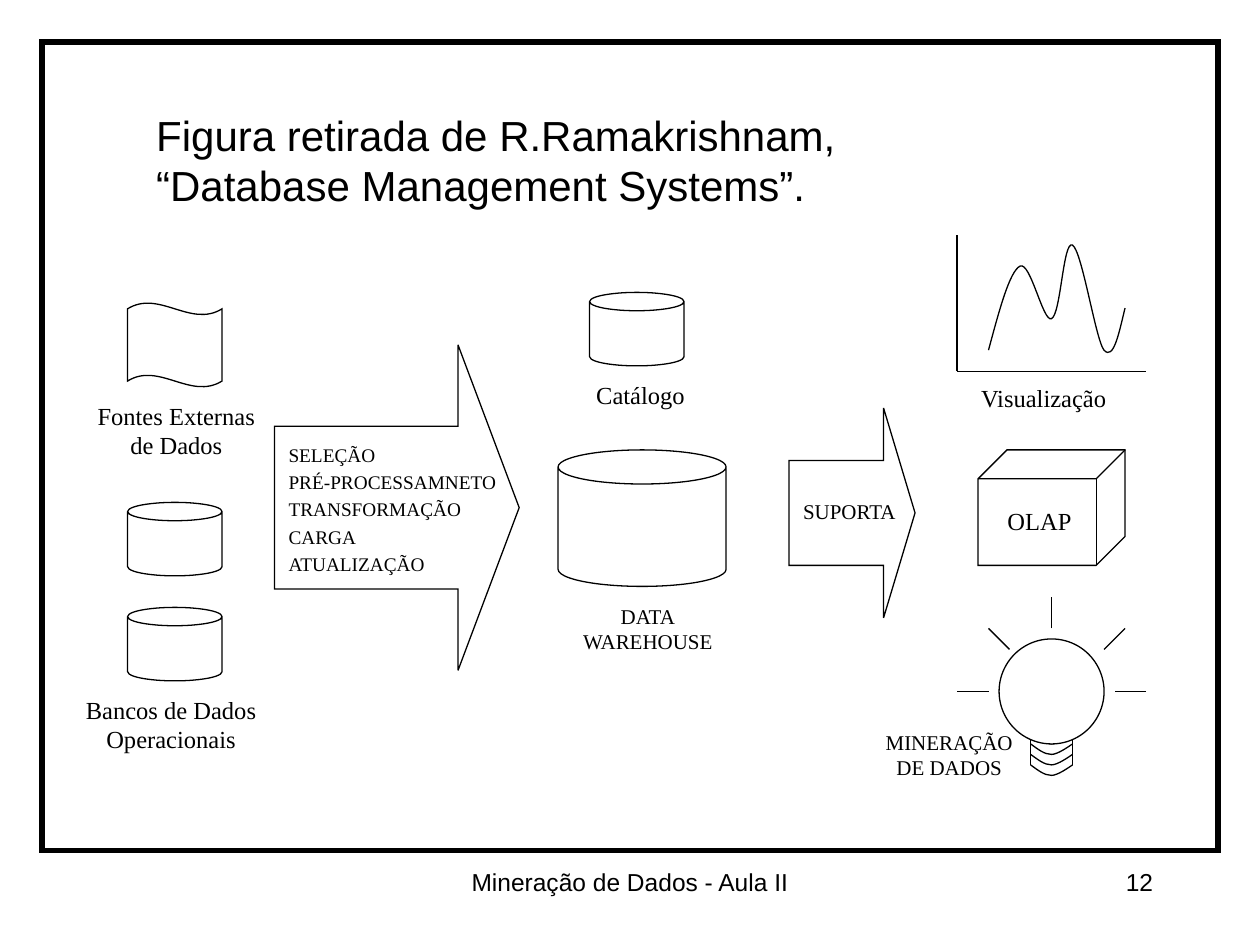
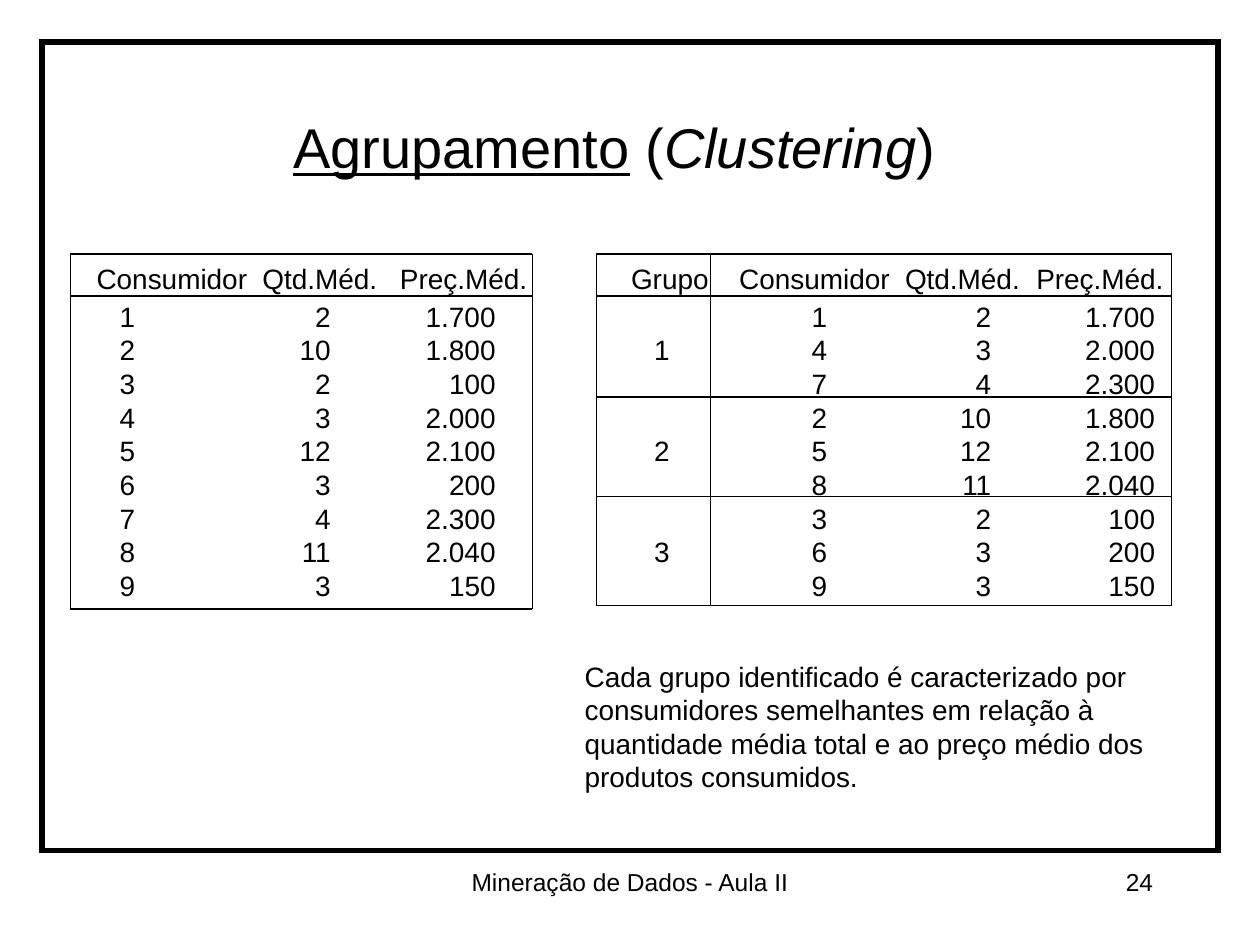
import pptx
import pptx.dml.color
import pptx.enum.shapes
import pptx.enum.text
import pptx.oxml.ns
import pptx.util
from lxml import etree

BLACK = pptx.dml.color.RGBColor(0, 0, 0)
WHITE = pptx.dml.color.RGBColor(255, 255, 255)
SANS, SERIF = "Arial", "Times New Roman"
KIND = pptx.enum.shapes.MSO_SHAPE
ALIGN = pptx.enum.text.PP_ALIGN
ANCHOR = pptx.enum.text.MSO_ANCHOR
COLS, ROWS = 120, 90
SHIFT = 0.15
THIN, THICK = 0.75, 3
TOP, HEAD, ROW = 24.2, 4.45, 3.2
BARE = "{2D5ABB26-0587-4C30-8999-92F81FD0307C}"

BUYERS = {
    "1": ("2", "1.700"), "2": ("10", "1.800"), "3": ("2", "100"),
    "4": ("3", "2.000"), "5": ("12", "2.100"), "6": ("3", "200"),
    "7": ("4", "2.300"), "8": ("11", "2.040"), "9": ("3", "150"),
}
GROUPS = {"1": "147", "2": "258", "3": "369"}


def tag(name):
    """Give the full name of a drawing element."""
    return pptx.oxml.ns.qn("a:" + name)


def cells(count):
    """Turn a count of grid cells, twelve to the inch, into a length."""
    return pptx.util.Inches(count / 12)


def spot(col, row):
    """Give the place of a grid point of the figure."""
    return cells(col + SHIFT), cells(row - SHIFT)


def ink(shape, weight=THIN, fill=None):
    """Outline a shape in black with sharp corners, hollow unless filled."""
    shape.shadow.inherit = False
    shape.line.color.rgb = BLACK
    shape.line.width = pptx.util.Pt(weight)
    etree.SubElement(shape.element.spPr.find(tag("ln")), tag("miter")).set("lim", "800000")
    if fill is None:
        shape.fill.background()
    else:
        shape.fill.solid()
        shape.fill.fore_color.rgb = fill


def solid(slide, kind, col, row, wide, high, adjust=(), fill=None):
    """Draw a preset shape of the figure."""
    shape = slide.shapes.add_shape(kind, *spot(col, row), cells(wide), cells(high))
    for index, value in enumerate(adjust):
        shape.adjustments[index] = value
    ink(shape, fill=fill)


def stroke(slide, start, end):
    """Draw a thin straight line between two places."""
    straight = pptx.enum.shapes.MSO_CONNECTOR.STRAIGHT
    line = slide.shapes.add_connector(straight, *start, *end)
    line.line.color.rgb = BLACK
    line.line.width = pptx.util.Pt(THIN)
    etree.SubElement(line.element.spPr, tag("effectLst"))


def curve(slide, points):
    """Draw an open outline along chained cubic curves."""
    first, *rest = (spot(*point) for point in points)
    pen = slide.shapes.build_freeform(*first)
    pen.add_line_segments(rest, close=False)
    shape = pen.convert_to_shape()
    track = next(shape.element.iter(tag("path")))
    lines = track.findall(tag("lnTo"))
    for index in range(0, len(lines), 3):
        bend = etree.SubElement(track, tag("cubicBezTo"))
        for line in lines[index:index + 3]:
            bend.append(line[0])
            track.remove(line)
    ink(shape)


def write(para, words, size, face, under=None, slant=None):
    """Add one run to a paragraph."""
    run = para.add_run()
    run.text = words
    font = run.font
    font.size, font.name = pptx.util.Pt(size), face
    font.underline, font.italic = under, slant
    font.color.rgb = BLACK


def text(slide, box, lines, size, face=SANS, align=ALIGN.LEFT, wrap=True, gap=0):
    """Add a text box; each line is a list of runs given as words and style."""
    frame = slide.shapes.add_textbox(*map(cells, box)).text_frame
    frame.word_wrap = wrap
    for index, runs in enumerate(lines):
        para = frame.add_paragraph() if index else frame.paragraphs[0]
        para.alignment = align
        if index and gap:
            para.space_before = pptx.util.Pt(gap)
        for words, style in runs:
            write(para, words, size, face, **style)


def plain(*lines):
    """Make lines of one unstyled run each."""
    return [[(line, {})] for line in lines]


def label(slide, mid, top, wide, size, *lines):
    """Centre a caption of the figure on a column."""
    high = (len(lines) * size * 1.2 + 7.2) / 6
    text(slide, (mid - wide / 2, top, wide, high), plain(*lines), size, SERIF,
         ALIGN.CENTER, wrap=False)


def page(deck, number):
    """Add a blank slide with the shared frame and footer."""
    slide = deck.slides.add_slide(deck.slide_layouts[6])
    frame = slide.shapes.add_shape(KIND.RECTANGLE, *map(cells, (4, 4, 112, 77)))
    ink(frame, THICK)
    text(slide, (41, 82, 38, 6), plain("Mineração de Dados - Aula II"), 14,
         align=ALIGN.CENTER)
    text(slide, (86, 82, 25, 6), plain(str(number)), 14, align=ALIGN.RIGHT)
    return slide


def rules(slide, across, down):
    """Rule lines at the given columns and rows, each the full span."""
    for row in down:
        stroke(slide, (cells(across[0]), cells(row)), (cells(across[-1]), cells(row)))
    for col in across:
        stroke(slide, (cells(col), cells(down[0])), (cells(col), cells(down[-1])))


def fill(cell, words, inset, align, anchor, below=0):
    """Put words in a cell, set in from the side they align to."""
    right = align == ALIGN.RIGHT
    cell.margin_left = cells(0 if right else inset)
    cell.margin_right = cells(inset if right else 0)
    cell.margin_top, cell.margin_bottom = 0, cells(below)
    cell.vertical_anchor = anchor
    cell.fill.background()
    if words:
        para = cell.text_frame.paragraphs[0]
        para.alignment = align
        write(para, words, 16, SANS)


def grid(slide, left, plan, rows, merge=0):
    """Add a table; plan gives head, width, head inset, value inset and align."""
    wide = sum(item[1] for item in plan)
    box = map(cells, (left, TOP, wide, HEAD + ROW * len(rows)))
    table = slide.shapes.add_table(len(rows) + 1, len(plan), *box).table
    table.first_row = table.horz_banding = False
    next(table._tbl.iter(tag("tableStyleId"))).text = BARE
    for index, row in enumerate(table.rows):
        row.height = cells(ROW if index else HEAD)
    for top in range(1, len(rows) + 1, merge) if merge else ():
        table.cell(top, 0).merge(table.cell(top + merge - 1, 0))
    for x, (head, width, start, inset, align) in enumerate(plan):
        table.columns[x].width = cells(width)
        fill(table.cell(0, x), head, start, ALIGN.LEFT, ANCHOR.BOTTOM, 0.55)
        for y, values in enumerate(rows, 1):
            fill(table.cell(y, x), values[x], inset, align, ANCHOR.MIDDLE)


def plot(slide):
    """Draw the small chart sketch with its two axes."""
    curve(slide, [(94, 33.5), (95, 29.8), (96, 26), (97, 25.5), (98, 25),
                  (99.2, 30.9), (100, 30.5), (100.9, 30.1), (101.1, 23),
                  (102, 23.5), (102.9, 24), (104.2, 32.5), (105, 33.5),
                  (105.9, 34.5), (106.4, 32), (107, 29.5)])
    for end in ((91, 22.5), (109, 35.5)):
        stroke(slide, spot(91, 35.5), spot(*end))


def bulb(slide):
    """Draw the light bulb with its screw and rays."""
    for col in (98, 102):
        stroke(slide, spot(col, 70), spot(col, 73))
    for row in range(73, 69, -1):
        curve(slide, [(98, row), (98.7, row + 0.5), (99.3, row + 1), (100, row + 1),
                      (100.6, row + 1), (101.7, row + 0.2), (102, row)])
    solid(slide, KIND.OVAL, 95, 61, 10, 10, fill=WHITE)
    for start, end in (((100, 60), (100, 57)), ((94, 66), (91, 66)),
                       ((109, 66), (106, 66)), ((105, 62), (107, 60)),
                       ((96, 62), (94, 60))):
        stroke(slide, spot(*start), spot(*end))


def flow(deck):
    """Build the slide on the path from data sources to mining."""
    slide = page(deck, 12)
    text(slide, (13.7, 9.8, 68.2, 10.8),
         plain("Figura retirada de R.Ramakrishnam,", "“Database Management Systems”."),
         24, wrap=False)
    solid(slide, KIND.WAVE, 12, 29, 9, 8, (0.07, 0))
    for box in ((12, 48, 9, 7), (12, 58, 9, 7), (56, 28, 9, 7), (53, 43, 16, 13)):
        solid(slide, KIND.CAN, *box, (0.25,))
    for box in ((26, 33, 23.3, 31), (75, 39, 12, 20)):
        solid(slide, KIND.RIGHT_ARROW, *box, (0.5, 0.25))
    solid(slide, KIND.CUBE, 93, 43, 14, 11, (0.25,))
    plot(slide)
    bulb(slide)
    text(slide, (26.3, 41.6, 25, 13.8),
         plain("SELEÇÃO", "PRÉ-PROCESSAMNETO", "TRANSFORMAÇÃO", "CARGA", "ATUALIZAÇÃO"),
         11, SERIF, gap=2.4)
    label(slide, 16.3, 65.6, 19.2, 14, "Bancos de Dados", "Operacionais")
    label(slide, 16.8, 37.6, 18, 14, "Fontes Externas", "de Dados")
    label(slide, 61.7, 56.9, 15.3, 12, "DATA", "WAREHOUSE")
    label(slide, 61, 35.6, 11.4, 14, "Catálogo")
    label(slide, 80.9, 46.9, 12, 12, "SUPORTA")
    label(slide, 99, 47.6, 9, 14, "OLAP")
    label(slide, 99.4, 35.9, 15, 14, "Visualização")
    label(slide, 90.4, 68.9, 15, 12, "MINERAÇÃO", "DE DADOS")


def cluster(deck):
    """Build the slide that sorts buyers into groups."""
    slide = page(deck, 24)
    text(slide, (23.1, 10.1, 70.8, 7.6),
         [[("Agrupamento", {"under": True}), (" (", {}),
           ("Clustering", {"slant": True}), (")", {})]], 32, align=ALIGN.CENTER)
    grid(slide, 6.7,
         [("Consumidor", 17, 2.5, 4.7, ALIGN.LEFT),
          ("Qtd.Méd.", 13.4, 1.3, 5.6, ALIGN.RIGHT),
          ("Preç.Méd.", 13.5, 1, 3.4, ALIGN.RIGHT)],
         [(buyer, *data) for buyer, data in BUYERS.items()])
    rules(slide, (6.7, 50.7), (TOP, 28.2, 58))
    rows = [(group if index == 0 else "", buyer, *BUYERS[buyer])
            for group, buyers in GROUPS.items() for index, buyer in enumerate(buyers)]
    grid(slide, 56.8,
         [("Grupo", 10.9, 3.3, 5.5, ALIGN.LEFT),
          ("Consumidor", 17.3, 2.7, 9.6, ALIGN.LEFT),
          ("Qtd.Méd.", 12.7, 1.2, 3.3, ALIGN.RIGHT),
          ("Preç.Méd.", 13.9, 1, 1.6, ALIGN.RIGHT)],
         rows, merge=3)
    rules(slide, (56.8, 67.7, 111.6), (TOP, 28.2, 37.8, 47.3, 57.7))
    text(slide, (54.5, 62.2, 59.4, 13.9),
         plain("Cada grupo identificado é caracterizado por",
               "consumidores semelhantes em relação à",
               "quantidade média total e ao preço médio dos",
               "produtos consumidos."), 16)


def main():
    """Build and save the deck."""
    deck = pptx.Presentation()
    deck.slide_width, deck.slide_height = cells(COLS), cells(ROWS)
    flow(deck)
    cluster(deck)
    deck.save("out.pptx")


if __name__ == "__main__":
    main()
